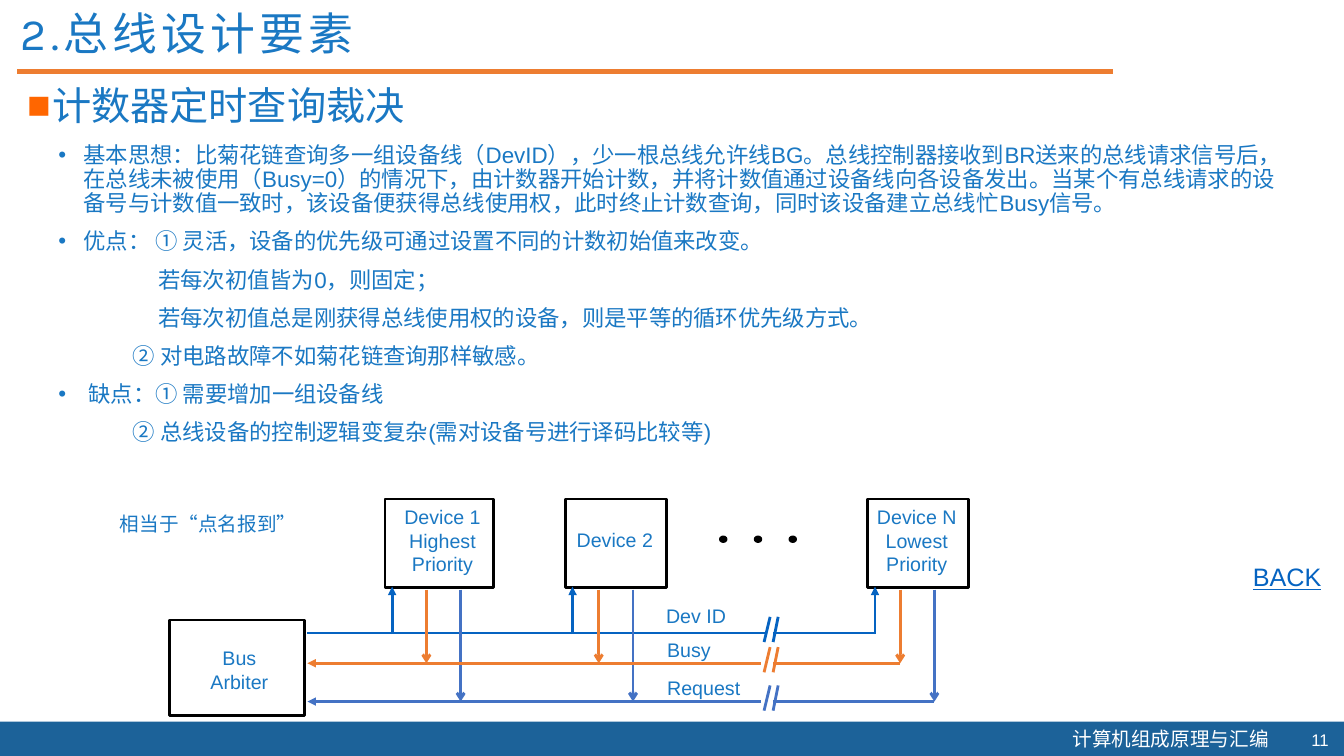
from dataclasses import dataclass
from typing import Optional

from lxml.etree import SubElement
from pptx import Presentation
from pptx.dml.color import RGBColor
from pptx.enum.shapes import MSO_CONNECTOR as CONN, MSO_SHAPE as SHAPE
from pptx.enum.text import MSO_ANCHOR as ANCHOR, PP_ALIGN as ALIGN
from pptx.oxml.ns import qn
from pptx.util import Inches, Pt

CELL = 0.1  # inches per grid column and row
COLS, ROWS = 133.33, 75

TEXT = RGBColor(0x1A, 0x78, 0xC3)
BAND = RGBColor(0x1C, 0x62, 0x99)
ORANGE = RGBColor(0xED, 0x7D, 0x31)
BULLET = RGBColor(0xFF, 0x66, 0x00)
LINK = RGBColor(0x05, 0x63, 0xC1)
BLUE = RGBColor(0x44, 0x72, 0xC4)
BLACK = RGBColor(0, 0, 0)
WHITE = RGBColor(0xFF, 0xFF, 0xFF)
CJK = "Noto Sans CJK SC"


@dataclass
class Box:
    col: float
    row: float
    cols: float
    rows: float


@dataclass
class Style:
    size: float = 14
    color: RGBColor = TEXT
    font: str = "Arial"
    align: ALIGN = ALIGN.LEFT
    tracking: float = 0
    underline: Optional[bool] = None
    line_spacing: Optional[float] = None
    space_before: float = 0


@dataclass
class Para:
    text: str
    margin: float = 0  # columns
    bullet: str = ""
    bullet_color: RGBColor = TEXT


@dataclass
class Unit:
    """A framed block of the bus diagram with its label."""
    frame: Box
    label: Box
    lines: list[str]


@dataclass
class Bus:
    """A signal line with a break and one branch per device."""
    name: str
    row: float
    color: RGBColor
    gap_col: float
    branches: list[float]
    label: Box
    to_devices: bool = False


def grid(n: float) -> int:
    return Inches(n * CELL)


def add_bullet(p, para: Para) -> None:
    pPr = p._p.get_or_add_pPr()
    pPr.set("marL", str(grid(para.margin)))
    pPr.set("indent", str(-grid(para.margin) if para.bullet else 0))
    if para.bullet:
        clr = SubElement(pPr, qn("a:buClr"))
        SubElement(clr, qn("a:srgbClr")).set("val", str(para.bullet_color))
        SubElement(pPr, qn("a:buFont")).set("typeface", "Arial")
        SubElement(pPr, qn("a:buChar")).set("char", para.bullet)
    else:
        SubElement(pPr, qn("a:buNone"))


def add_text(s, box: Box, paras: list[Para], style: Style,
             wrap: bool = True, anchor: ANCHOR = ANCHOR.TOP) -> None:
    tb = s.shapes.add_textbox(*map(grid, (box.col, box.row, box.cols, box.rows)))
    tf = tb.text_frame
    tf.word_wrap = wrap
    tf.vertical_anchor = anchor
    for i, para in enumerate(paras):
        p = tf.add_paragraph() if i else tf.paragraphs[0]
        add_bullet(p, para)
        p.alignment = style.align
        p.line_spacing = style.line_spacing
        if i:
            p.space_before = Pt(style.space_before)
        r = p.add_run()
        r.text = para.text
        r.font.size = Pt(style.size)
        r.font.name = style.font
        r.font.color.rgb = style.color
        r.font.underline = style.underline
        rPr = r._r.get_or_add_rPr()
        SubElement(rPr, qn("a:ea")).set("typeface", CJK)
        if style.tracking:
            rPr.set("spc", str(int(style.tracking * 100)))


def add_shape(s, kind: SHAPE, box: Box, fill: Optional[RGBColor] = None,
              line: Optional[RGBColor] = None, width: float = 2) -> None:
    sp = s.shapes.add_shape(kind, *map(grid, (box.col, box.row, box.cols, box.rows)))
    sp.shadow.inherit = False
    if fill is None:
        sp.fill.background()
    else:
        sp.fill.solid()
        sp.fill.fore_color.rgb = fill
    if line is None:
        sp.line.fill.background()
    else:
        sp.line.color.rgb = line
        sp.line.width = Pt(width)


def add_line(s, x1: float, y1: float, x2: float, y2: float, color: RGBColor,
             width: float = 2, head: str = "", tail: str = "") -> None:
    """Draw a line; head and tail name the arrowheads at its start and end."""
    c = s.shapes.add_connector(CONN.STRAIGHT, *map(grid, (x1, y1, x2, y2)))
    c.line.color.rgb = color
    c.line.width = Pt(width)
    ln = c.line._get_or_add_ln()
    for tag, kind in (("a:headEnd", head), ("a:tailEnd", tail)):
        if kind:
            SubElement(ln, qn(tag)).set("type", kind)
    SubElement(c._element.spPr, qn("a:effectLst"))


def add_unit(s, unit: Unit) -> None:
    add_shape(s, SHAPE.RECTANGLE, unit.frame, line=BLACK)
    add_text(s, unit.label, [Para(t) for t in unit.lines], Style(align=ALIGN.CENTER))


def add_bus(s, bus: Bus) -> None:
    y, color = bus.row, bus.color
    add_line(s, 30.5, y, bus.gap_col, y, color, head="" if bus.to_devices else "triangle")
    add_line(s, 76.7, y, bus.branches[-1], y, color)
    for left, right in ((75.8, 76.4), (76.7, 77.2)):
        add_line(s, left, y + 0.9, right, y - 1.6, color)
    for x in bus.branches:
        if bus.to_devices:
            add_line(s, x, y + 0.1, x, 58.2, color, tail="triangle")
        else:
            add_line(s, x, 58.5, x, y, color, tail="arrow")
    add_text(s, bus.label, [Para(bus.name)], Style(), wrap=False)


POINTS = [
    Para("基本思想：比菊花链查询多一组设备线（DevID），少一根总线允许线BG。总线控制器接收到BR送来的总线请求信号"
         "后，在总线未被使用（Busy=0）的情况下，由计数器开始计数，并将计数值通过设备线向各设备发出。当某个有总线请"
         "求的设备号与计数值一致时，该设备便获得总线使用权，此时终止计数查询，同时该设备建立总线忙Busy信号。", 2.5, "•"),
    Para("优点： ① 灵活，设备的优先级可通过设置不同的计数初始值来改变。", 2.5, "•"),
    Para("若每次初值皆为0，则固定；", 9.9),
    Para("若每次初值总是刚获得总线使用权的设备，则是平等的循环优先级方式。", 9.9),
    Para("② 对电路故障不如菊花链查询那样敏感。", 7.4),
    Para("缺点：① 需要增加一组设备线", 3, "•"),
    Para("② 总线设备的控制逻辑变复杂(需对设备号进行译码比较等)", 7.4),
]
UNITS = [
    Unit(Box(16.8, 61.5, 13.4, 9.5), Box(19.5, 63.6, 8.5, 5.7), ["Bus", "Arbiter"]),
    Unit(Box(38.2, 49.5, 10.8, 8.8), Box(38.7, 49.6, 10.4, 8.1),
         ["Device 1", "Highest", "Priority"]),
    Unit(Box(56.1, 49.5, 10, 8.8), Box(55.8, 51.9, 10.4, 3.3), ["Device 2"]),
    Unit(Box(86.1, 49.5, 10, 8.8), Box(84.9, 49.6, 12.1, 8.1),
         ["Device N", "Lowest", "Priority"]),
]
BUSES = [
    Bus("Dev ID", 62.8, LINK, 75.9, [38.9, 56.8, 86.8], Box(65.1, 59.4, 8.3, 3.3), True),
    Bus("Request", 69.6, BLUE, 75.5, [45.7, 62.8, 92.7], Box(65.2, 66.6, 9.6, 3.3)),
    Bus("Busy", 65.8, ORANGE, 75.5, [42.3, 59.4, 89.3], Box(65.2, 62.8, 6.4, 3.3)),
]


def main() -> None:
    prs = Presentation()
    prs.slide_width, prs.slide_height = grid(COLS), grid(ROWS)
    s = prs.slides.add_slide(prs.slide_layouts[6])

    add_shape(s, SHAPE.RECTANGLE, Box(0, 71.6, COLS, 3.4), fill=BAND)
    add_text(s, Box(105.4, 71.6, 21.8, 3.4), [Para("计算机组成原理与汇编")],
             Style(color=WHITE, font=CJK))
    add_text(s, Box(127.8, 71.9, 5, 3), [Para("11")],
             Style(12, WHITE, align=ALIGN.RIGHT), anchor=ANCHOR.MIDDLE)
    add_line(s, 1.7, 7.1, 110.4, 7.1, ORANGE, width=3)
    add_text(s, Box(1.1, 0.7, 106.5, 4.8), [Para("2.总线设计要素")],
             Style(32, font="Karla", tracking=3, line_spacing=0.9))
    add_text(s, Box(1.7, 7.6, 129.4, 6.8),
             [Para("计数器定时查询裁决", 2.5, "■", BULLET)], Style(28))
    add_text(s, Box(4.8, 13.8, 123.7, 35.9), POINTS,
             Style(16, line_spacing=0.9, space_before=10))

    for unit in UNITS:
        add_unit(s, unit)
    for i in range(3):
        add_shape(s, SHAPE.OVAL, Box(71.4 + 3.45 * i, 53.2, 0.7, 0.6), BLACK, BLACK, 1)
    for bus in BUSES:
        add_bus(s, bus)
    add_text(s, Box(10.9, 50.3, 23.6, 3.4), [Para("相当于“点名报到”")], Style())
    add_text(s, Box(123.3, 55.2, 10, 4), [Para("BACK")], Style(18, LINK, underline=True))
    prs.save("out.pptx")


if __name__ == "__main__":
    main()
